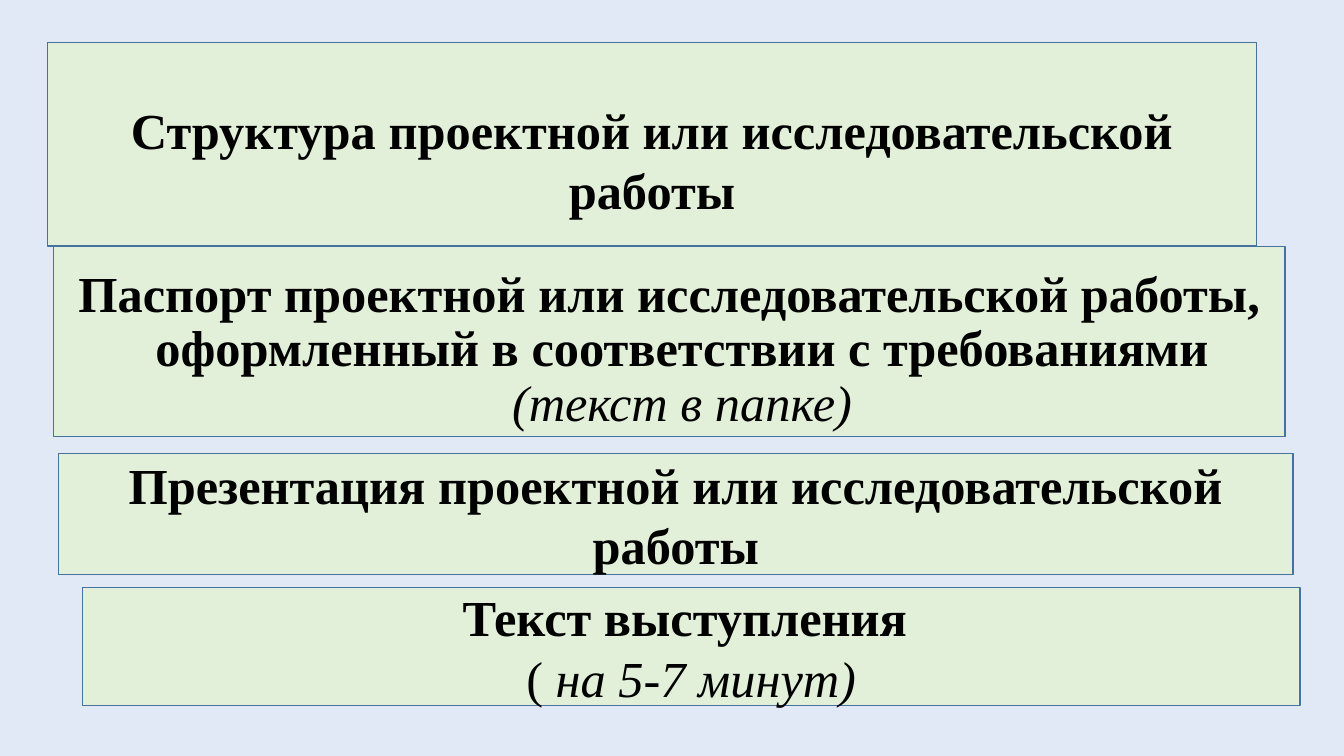
from dataclasses import dataclass

from lxml.etree import SubElement
from pptx import Presentation
from pptx.dml.color import RGBColor
from pptx.enum.shapes import MSO_SHAPE
from pptx.enum.text import MSO_ANCHOR, MSO_AUTO_SIZE, PP_ALIGN
from pptx.oxml.ns import qn
from pptx.util import Cm, Pt

COLORS = {"background": "E2E9F6", "fill": "E2F0D9", "line": "43739E", "text": "000000"}
FONT = "Times New Roman"


@dataclass
class Run:
    text: str
    bold: bool = True
    italic: bool = False


@dataclass
class Block:
    left: float
    top: float
    width: float
    height: float
    paragraphs: list[list[Run]]
    inset_top: float = 0.13
    hanging: float = 0
    line_spacing: float = 1.0


HEADING = Block(1.19, 1.07, 30.48, 5.13,
                [[Run("Структура проектной или исследовательской работы")]],
                inset_top=0.9)
PARTS = [
    Block(1.35, 6.22, 31.04, 4.78,
          [[Run("Паспорт проектной или исследовательской работы, "
                "оформленный в соответствии с требованиями "),
            Run("(текст в папке)", bold=False, italic=True)]],
          inset_top=0.58, hanging=0.64, line_spacing=0.9),
    Block(1.47, 11.43, 31.12, 3.05,
          [[Run("Презентация проектной или исследовательской работы")]]),
    Block(2.08, 14.81, 30.68, 2.97,
          [[Run("Текст выступления ")],
           [Run("(", bold=False), Run(" на 5-7 минут)", bold=False, italic=True)]]),
]


def color(name: str) -> RGBColor:
    return RGBColor.from_string(COLORS[name])


def add_run(p, text: str, *, size: float = 36, bold: bool = True,
            italic: bool = False) -> None:
    r = p.add_run()
    r.text = text
    r.font.name = FONT
    r.font.size = Pt(size)
    r.font.bold = bold
    r.font.italic = italic
    r.font.color.rgb = color("text")


def format_block(sp, block: Block) -> None:
    sp.fill.solid()
    sp.fill.fore_color.rgb = color("fill")
    sp.line.color.rgb = color("line")
    sp.line.width = Pt(1)
    tf = sp.text_frame
    tf.word_wrap = True
    tf.auto_size = MSO_AUTO_SIZE.NONE
    tf.vertical_anchor = MSO_ANCHOR.MIDDLE
    tf.margin_left = tf.margin_right = Cm(0.25)
    tf.margin_top, tf.margin_bottom = Cm(block.inset_top), Cm(0.13)
    for i, runs in enumerate(block.paragraphs):
        p = tf.add_paragraph() if i else tf.paragraphs[0]
        p.alignment = PP_ALIGN.CENTER
        p.line_spacing = block.line_spacing
        if block.hanging:
            pPr = p._p.get_or_add_pPr()
            pPr.set("marL", str(Cm(block.hanging)))
            pPr.set("indent", str(-Cm(block.hanging)))
        for run in runs:
            add_run(p, run.text, bold=run.bold, italic=run.italic)


def place_heading(sp, block: Block) -> None:
    sp.left, sp.top = Cm(block.left), Cm(block.top)
    sp.width, sp.height = Cm(block.width), Cm(block.height)
    # Down arrow outline for the title placeholder
    geom = SubElement(sp.element.spPr, qn("a:prstGeom"), prst="downArrow")
    guides = SubElement(geom, qn("a:avLst"))
    for name, value in (("adj1", 50000), ("adj2", 43600)):
        SubElement(guides, qn("a:gd"), name=name, fmla=f"val {value}")
    format_block(sp, block)


def add_part(s, block: Block) -> None:
    sp = s.shapes.add_shape(MSO_SHAPE.RECTANGLE, Cm(block.left), Cm(block.top),
                            Cm(block.width), Cm(block.height))
    sp.shadow.inherit = False
    format_block(sp, block)


# Slide and background
prs = Presentation()
prs.slide_width, prs.slide_height = Cm(33.87), Cm(19.05)
s = prs.slides.add_slide(prs.slide_layouts[5])
s.background.fill.solid()
s.background.fill.fore_color.rgb = color("background")

# Heading arrow and the parts of the work below it
place_heading(s.shapes.title, HEADING)
for part in PARTS:
    add_part(s, part)

prs.save("out.pptx")
